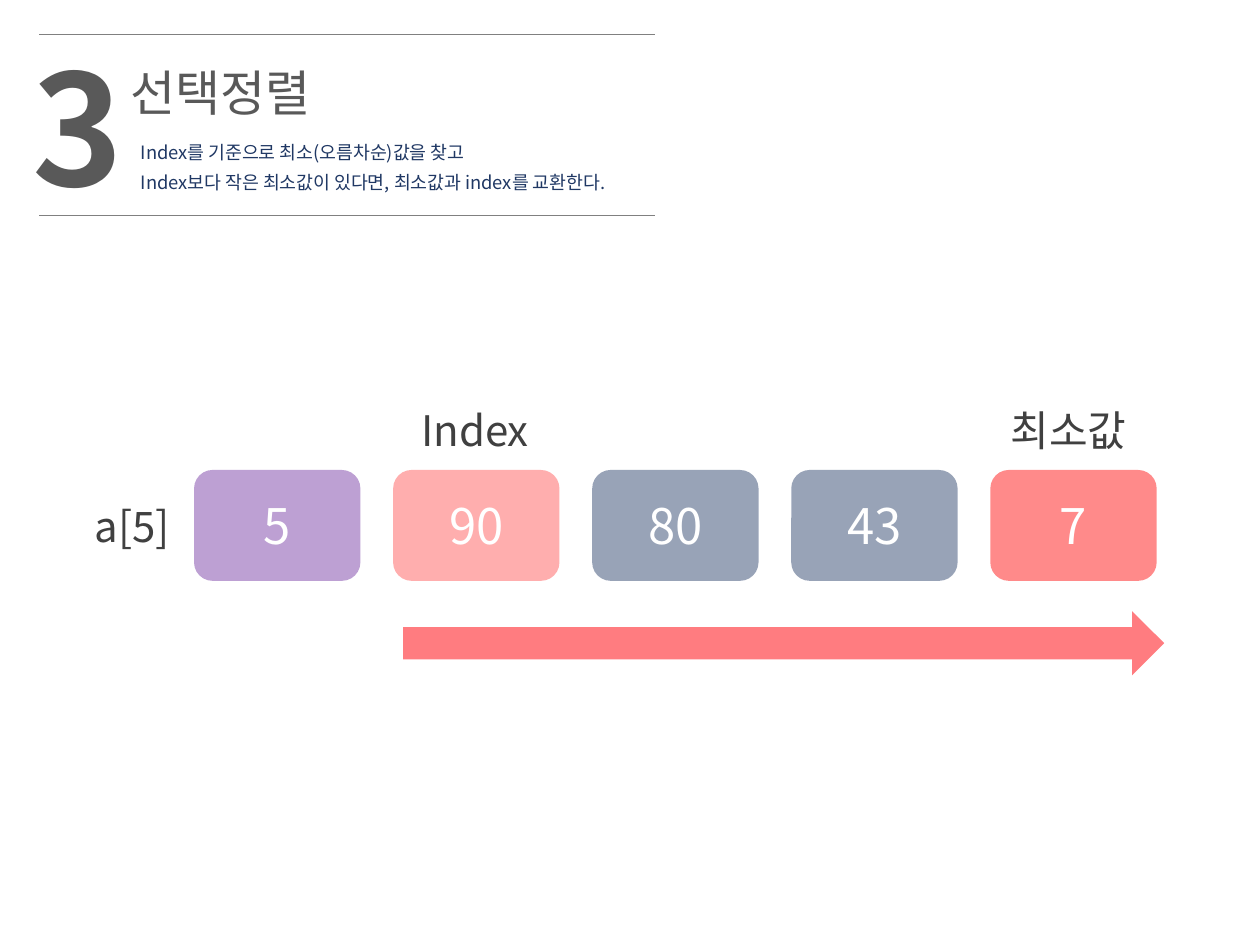
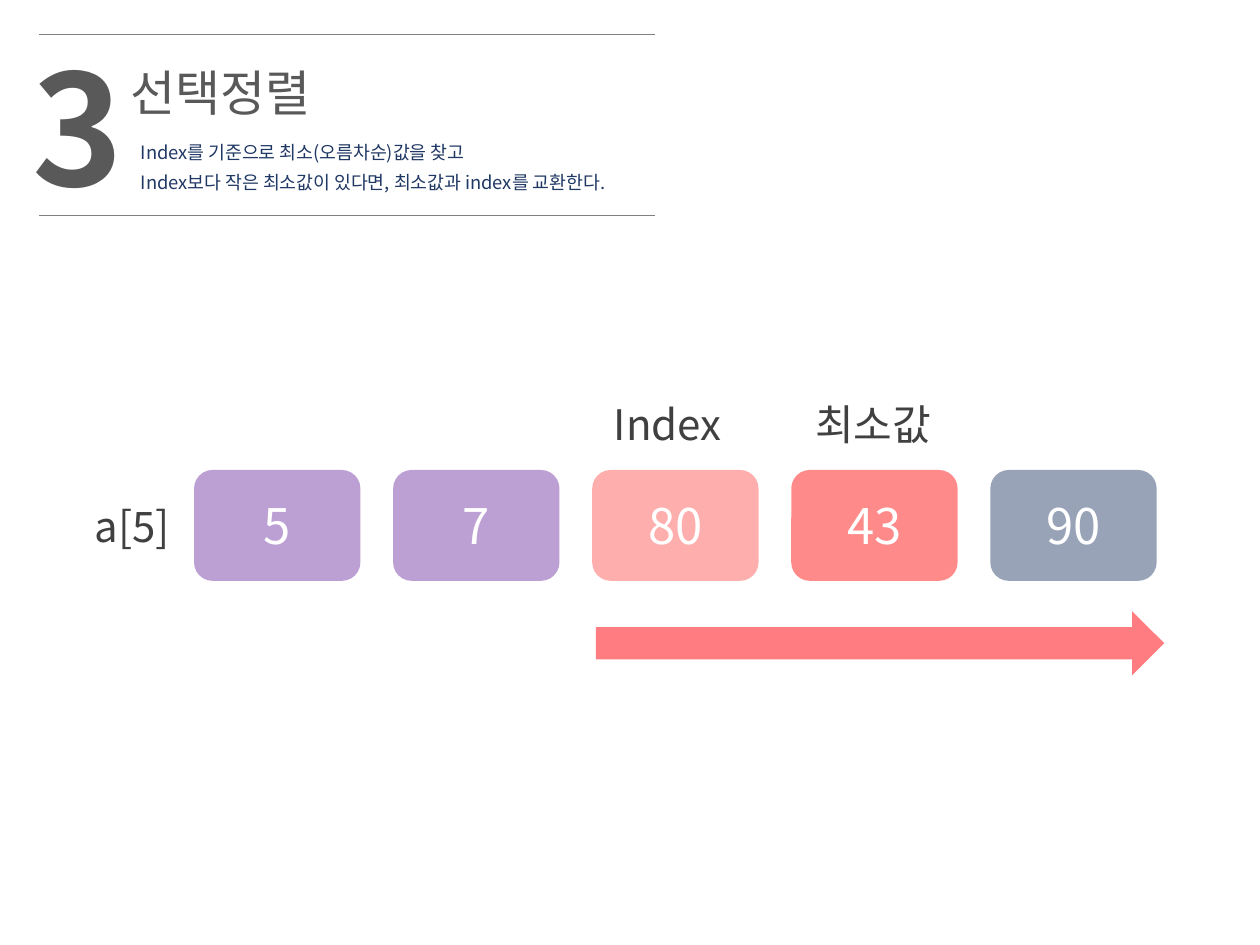
from lxml import etree
from pptx import Presentation
from pptx.dml.color import RGBColor
from pptx.enum.shapes import MSO_CONNECTOR, MSO_SHAPE
from pptx.enum.text import MSO_ANCHOR, MSO_AUTO_SIZE, PP_ALIGN
from pptx.oxml.ns import qn
from pptx.util import Inches, Pt

FONT = "Noto Sans CJK KR"
LEFT, CENTER = PP_ALIGN.LEFT, PP_ALIGN.CENTER
MIDDLE = MSO_ANCHOR.MIDDLE
GROW = MSO_AUTO_SIZE.SHAPE_TO_FIT_TEXT
STRAIGHT = MSO_CONNECTOR.STRAIGHT
ROUNDED, ARROW = MSO_SHAPE.ROUNDED_RECTANGLE, MSO_SHAPE.RIGHT_ARROW

TITLE_GRAY = RGBColor(0x59, 0x59, 0x59)
LABEL_GRAY = RGBColor(0x40, 0x40, 0x40)
RULE_GRAY = RGBColor(0x80, 0x80, 0x80)
WHITE = RGBColor(0xFF, 0xFF, 0xFF)
ARROW_PINK = RGBColor(0xFF, 0x7C, 0x80)
NAVY = RGBColor(0x20, 0x38, 0x64)

# Cell colours by state
SORTED = RGBColor(0x70, 0x30, 0xA0)
INDEX = RGBColor(0xFF, 0x50, 0x50)
MINIMUM = RGBColor(0xFF, 0x00, 0x00)
UNSORTED = NAVY

DESCRIPTION = ("Index를 기준으로 최소(오름차순)값을 찾고\n"
               "Index보다 작은 최소값이 있다면, 최소값과 index를 교환한다.")

# Array row
CELL_LEFT, CELL_TOP, CELL_STEP = 1.54, 3.73, 1.58
CELL_W, CELL_H = 1.32, 0.88
CELL_OPACITY = 46
ARROW_TOP, ARROW_RIGHT, ARROW_H = 4.85, 9.24, 0.51


def style_text(tf, size, color, align=LEFT, bold=False, spacing=None):
    for p in tf.paragraphs:
        p.alignment = align
        if spacing:
            p.line_spacing = Pt(spacing)
        for r in p.runs:
            r.font.name = FONT
            r.font.size = Pt(size)
            r.font.bold = bold
            r.font.color.rgb = color
            ea = etree.SubElement(r.font._element, qn("a:ea"))
            ea.set("typeface", FONT)


def add_text(s, text, left, top, width, height, size, color, **style):
    box = s.shapes.add_textbox(Inches(left), Inches(top), Inches(width), Inches(height))
    tf = box.text_frame
    tf.word_wrap = True
    tf.auto_size = GROW
    tf.text = text
    style_text(tf, size, color, **style)


def add_rule(s, y):
    line = s.shapes.add_connector(STRAIGHT, Inches(0.31), Inches(y), Inches(5.2), Inches(y))
    line.line.color.rgb = RULE_GRAY
    line.line.width = Pt(0.5)
    etree.SubElement(line._element.spPr, qn("a:effectLst"))


def add_filled(s, kind, left, top, width, height, color):
    sp = s.shapes.add_shape(kind, Inches(left), Inches(top), Inches(width), Inches(height))
    sp.shadow.inherit = False
    sp.fill.solid()
    sp.fill.fore_color.rgb = color
    sp.line.fill.background()
    return sp


def add_cell(s, column, value, color):
    left = CELL_LEFT + column * CELL_STEP
    sp = add_filled(s, ROUNDED, left, CELL_TOP, CELL_W, CELL_H, color)
    rgb = sp._element.spPr.find(qn("a:solidFill")).find(qn("a:srgbClr"))
    etree.SubElement(rgb, qn("a:alpha")).set("val", str(CELL_OPACITY * 1000))
    tf = sp.text_frame
    tf.vertical_anchor = MIDDLE
    tf.text = str(value)
    style_text(tf, 28, WHITE, align=CENTER)


def add_label(s, text, left, top, width=1.14):
    add_text(s, text, left, top, width, 0.5, 24, LABEL_GRAY, align=CENTER)


def add_header(s):
    add_text(s, "선택정렬", 0.94, 0.45, 4.49, 0.57, 28, TITLE_GRAY)
    add_text(s, DESCRIPTION, 1.02, 1.01, 4.57, 0.56, 10.5, NAVY, spacing=17)
    add_rule(s, 0.27)
    add_text(s, "3", 0.16, 0.21, 0.87, 1.58, 88, TITLE_GRAY, bold=True)
    add_rule(s, 1.71)


def add_step(prs, cells, label_top, index_left, minimum_left):
    s = prs.slides.add_slide(prs.slide_layouts[6])
    add_header(s)
    for column, (value, state) in enumerate(cells):
        add_cell(s, column, value, state)
    add_label(s, "a[5]", 0.57, 3.92, width=0.96)
    add_label(s, "Index", index_left, label_top)
    # The search runs from the index to the end of the array
    add_filled(s, ARROW, index_left, ARROW_TOP, ARROW_RIGHT - index_left, ARROW_H, ARROW_PINK)
    add_label(s, "최소값", minimum_left, label_top)


def main():
    prs = Presentation()
    prs.slide_width, prs.slide_height = Inches(10), Inches(7.5)
    add_step(prs, [(5, SORTED), (90, INDEX), (80, UNSORTED), (43, UNSORTED), (7, MINIMUM)],
             label_top=3.16, index_left=3.2, minimum_left=7.91)
    add_step(prs, [(5, SORTED), (7, SORTED), (80, INDEX), (43, MINIMUM), (90, UNSORTED)],
             label_top=3.11, index_left=4.73, minimum_left=6.36)
    prs.save("out.pptx")


main()
